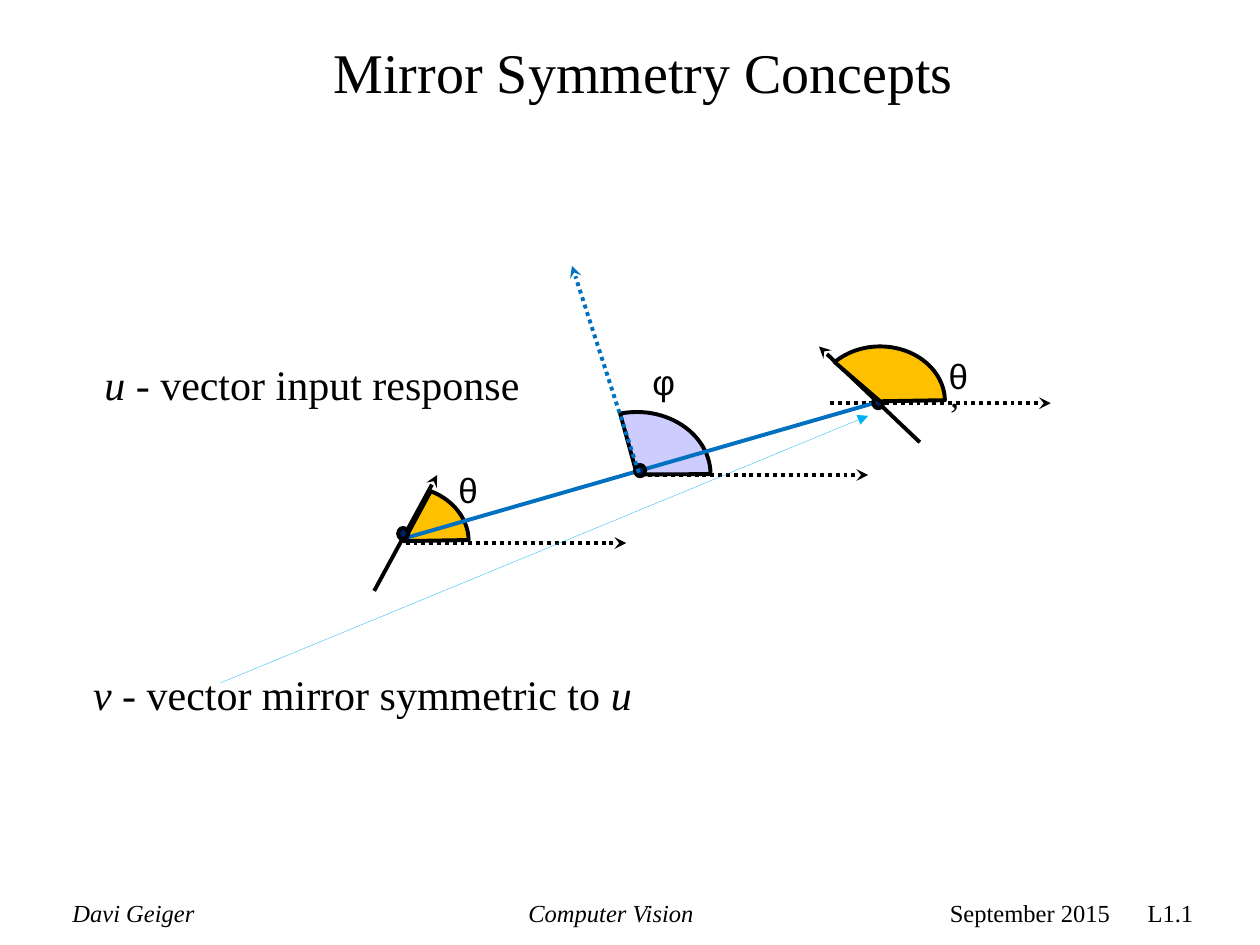
from pptx import Presentation, util as u
from pptx.dml.color import RGBColor
from pptx.enum import dml, shapes, text
from pptx.oxml.ns import qn
from lxml import etree

BLACK, BLUE, ORANGE = "000000", "0070C0", "FFC000"
SERIF, SANS = "Times New Roman", "Arial"
LEFT, CENTER = text.PP_ALIGN.LEFT, text.PP_ALIGN.CENTER

deck = Presentation()
deck.slide_width, deck.slide_height = u.Inches(10), u.Inches(7.5)
page = deck.slides.add_slide(deck.slide_layouts[6])


def draw_line(start, end, color=BLACK, width=2.25, dotted=False, head="stealth"):
    ends = [u.Inches(value) for value in (*start, *end)]
    connector = page.shapes.add_connector(shapes.MSO_CONNECTOR.STRAIGHT, *ends)
    connector.line.color.rgb = RGBColor.from_string(color)
    connector.line.width = u.Pt(width)
    if dotted:
        connector.line.dash_style = dml.MSO_LINE.ROUND_DOT
    if head:
        outline = connector.line._get_or_add_ln()
        etree.SubElement(outline, qn("a:tailEnd"), type=head)
    etree.SubElement(connector._element.spPr, qn("a:effectLst"))


def draw_shape(preset, bounds, color, angles=()):
    shape = page.shapes.add_shape(preset, *[u.Inches(value) for value in bounds])
    shape.shadow.inherit = False
    shape.fill.solid()
    shape.fill.fore_color.rgb = RGBColor.from_string(color)
    shape.line.color.rgb = RGBColor.from_string(BLACK)
    shape.line.width = u.Pt(2.25)
    for index, angle in enumerate(angles):
        shape.adjustments[index] = angle * 0.6


draw_line((2.97, 4.69), (3.47, 3.77))
draw_line((7.3, 3.51), (6.5, 2.75))
for left, top in [(5.14, 3.77), (3.22, 4.31), (6.59, 3.2)]:
    draw_line((left, top), (left + 1.75, top), dotted=True)

pie = shapes.MSO_SHAPE.PIE
draw_shape(pie, (4.47, 3.27, 1.17, 0.99), "CCCCFF", (254.6, 359.81))
draw_shape(pie, (2.69, 3.86, 1.03, 0.87), ORANGE, (298.39, 359.09))
draw_line((3.22, 4.27), (6.97, 3.19), BLUE, head=None)
for left, top in [(5.04, 3.69), (3.16, 4.19), (6.93, 3.15)]:
    draw_shape(shapes.MSO_SHAPE.OVAL, (left, top, 0.08, 0.09), "002060")
draw_line((5.07, 3.75), (4.54, 2.11), BLUE, dotted=True)
draw_shape(pie, (6.47, 2.75, 1.03, 0.87), ORANGE, (220.76, 359.09))
draw_line((1.75, 5.42), (6.89, 3.3), "00B0F0", 0.25, True, "triangle")

footer = {"size": u.Pt(14), "name": SERIF}
slanted = {**footer, "italic": True}
title = {"size": u.Pt(32), "name": SERIF}
caption = {"size": u.Pt(24), "name": SERIF}
vector = {**caption, "italic": True}
symbol = {"size": u.Pt(20), "name": SANS}
prime = {"size": u.Pt(20), "name": SERIF}

labels = [
    ((0.21, 7.08, 1.7, 0.34), CENTER, True, 1, [("Davi Geiger", slanted)]),
    ((4, 7.08, 1.7, 0.33), CENTER, True, 1, [("Computer Vision", slanted)]),
    ((7.44, 7.08, 2.14, 0.34), LEFT, False, 1, [("September 2015\tL1.1", footer)]),
    ((2.55, 0.25, 5.16, 0.64), LEFT, False, 1, [("Mirror Symmetry Concepts", title)]),
    ((0.73, 2.8, 3.53, 0.5), LEFT, False, 1,
     [("u", vector), (" - vector input response", caption)]),
    ((0.64, 5.26, 4.51, 0.5), LEFT, False, 1,
     [("v ", vector), ("- vector mirror symmetric to ", caption), ("u", vector)]),
    ((5.08, 2.85, 0.35, 0.4), LEFT, False, 0.9, [("φ", symbol)]),
    ((3.54, 3.71, 0.35, 0.4), LEFT, False, 0.9, [("θ", symbol)]),
    ((7.43, 2.8, 0.44, 0.4), LEFT, True, 0.9, [("θ", symbol), ("’", prime)]),
]
for bounds, align, wrap, spacing, spans in labels:
    box = page.shapes.add_textbox(*[u.Inches(value) for value in bounds])
    box.text_frame.word_wrap = wrap
    para = box.text_frame.paragraphs[0]
    para.alignment, para.line_spacing = align, spacing
    for words, style in spans:
        span = para.add_run()
        span.text = words
        span.font.color.rgb = RGBColor.from_string(BLACK)
        for key, value in style.items():
            setattr(span.font, key, value)
        if "\t" in words:
            stops = etree.SubElement(para._p.get_or_add_pPr(), qn("a:tabLst"))
            etree.SubElement(stops, qn("a:tab"), pos=str(u.Inches(1.57)), algn="l")

deck.save("out.pptx")
